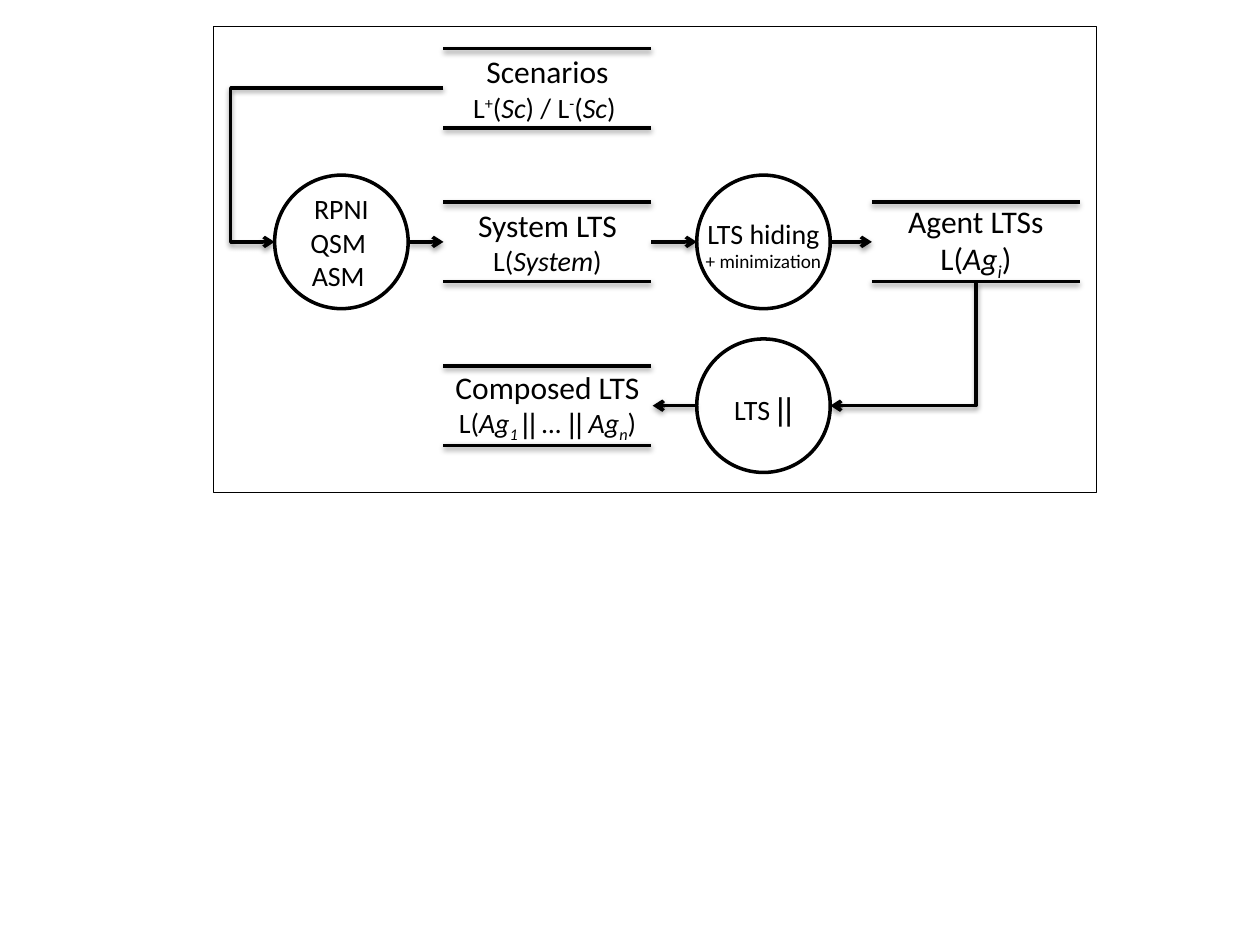
from dataclasses import dataclass

from lxml.etree import SubElement
from pptx import Presentation
from pptx.dml.color import RGBColor
from pptx.enum.shapes import MSO_CONNECTOR, MSO_SHAPE
from pptx.enum.text import MSO_ANCHOR, PP_ALIGN
from pptx.oxml.ns import qn
from pptx.util import Inches, Pt


@dataclass(frozen=True)
class Theme:
    """Colours, fonts, type sizes and line widths."""
    ink: RGBColor = RGBColor(0, 0, 0)
    paper: RGBColor = RGBColor(255, 255, 255)
    font: str = "Calibri"
    symbol_font: str = "Arial"
    heading: int = 18
    body: int = 16
    note: int = 11
    frame_line: float = 0.25
    line: float = 2


THEME = Theme()
ROWS = (0.7, 1.92, 3.22)
STORE_LEFTS = (3.52, 6.92)
STORE_WIDTH, STORE_HEIGHT, TEXT_HEIGHT = 1.65, 0.63, 0.67
CIRCLE_LEFTS = (2.18, 5.53)
DIAMETER = 1.06
ITALIC = {"italic": True}
SUPER = {"baseline": 30}
ITALIC_SUB = {"italic": True, "baseline": -25}
SYMBOL = {"font": THEME.symbol_font}


def add_piece(paragraph, size, text, italic=False, baseline=0, font=THEME.font):
    """Append one formatted run to a paragraph."""
    run = paragraph.add_run()
    run.text = text
    run.font.size = Pt(size)
    run.font.name = font
    run.font.italic = italic
    run.font.color.rgb = THEME.ink
    if baseline:
        run.font._element.set("baseline", str(baseline * 1000))


def write_lines(shape, lines, top_inset=0):
    """Write centred paragraphs given as a size and a list of styled pieces."""
    frame = shape.text_frame
    frame.word_wrap = False
    frame.vertical_anchor = MSO_ANCHOR.MIDDLE
    frame.margin_left = frame.margin_right = frame.margin_bottom = 0
    frame.margin_top = Inches(top_inset)
    for index, (size, pieces) in enumerate(lines):
        paragraph = frame.add_paragraph() if index else frame.paragraphs[0]
        paragraph.alignment = PP_ALIGN.CENTER
        for text, style in pieces:
            for number, part in enumerate(text.split("\n")):
                if number:
                    paragraph.add_line_break()
                add_piece(paragraph, size, part, **style)
        for line_break in paragraph._p.findall(qn("a:br")):
            SubElement(line_break, qn("a:rPr"), sz=str(size * 100))


def add_outlined(shapes, kind, box, width):
    """Add a white preset shape with a black outline."""
    shape = shapes.add_shape(kind, *map(Inches, box))
    shape.shadow.inherit = False
    shape.fill.solid()
    shape.fill.fore_color.rgb = THEME.paper
    shape.line.color.rgb = THEME.ink
    shape.line.width = Pt(width)
    return shape


def add_process(shapes, left, middle, lines, top_inset=0.04):
    """Add a process circle centred on a row."""
    box = (left, middle - DIAMETER / 2, DIAMETER, DIAMETER)
    circle = add_outlined(shapes, MSO_SHAPE.OVAL, box, THEME.line)
    write_lines(circle, lines, top_inset)
    return circle


def add_line(shapes, start, end, arrow=True, kind=MSO_CONNECTOR.STRAIGHT):
    """Add a black connector with a soft shadow below it."""
    line = shapes.add_connector(kind, *map(Inches, (*start, *end)))
    line.line.color.rgb = THEME.ink
    line.line.width = Pt(THEME.line)
    if arrow:
        SubElement(line.line._get_or_add_ln(), qn("a:tailEnd"), type="arrow")
    effects = SubElement(line._element.spPr, qn("a:effectLst"))
    shadow = SubElement(effects, qn("a:outerShdw"), blurRad=str(Pt(3.1)),
                        dist=str(Pt(1.6)), dir="5400000", rotWithShape="0")
    colour = SubElement(shadow, qn("a:srgbClr"), val=str(THEME.ink))
    SubElement(colour, qn("a:alpha"), val="38000")
    return line


def add_side_loop(shapes, start, end, bend):
    """Add a three-part elbow whose bend is a share of its width."""
    line = add_line(shapes, start, end, kind=MSO_CONNECTOR.ELBOW)
    guides = line._element.spPr.prstGeom.get_or_add_avLst()
    SubElement(guides, qn("a:gd"), name="adj1", fmla=f"val {round(bend * 100000)}")


def add_down_left(shapes, start, end):
    """Add an elbow that runs down and then left."""
    centre_x, centre_y = (start[0] + end[0]) / 2, (start[1] + end[1]) / 2
    half_width, half_height = (end[1] - start[1]) / 2, (start[0] - end[0]) / 2
    line = add_line(shapes, (centre_x - half_width, centre_y - half_height),
                    (centre_x + half_width, centre_y + half_height),
                    kind=MSO_CONNECTOR.ELBOW)
    line._element.spPr.prstGeom.set("prst", "bentConnector2")
    line._element.spPr.xfrm.set("rot", "5400000")


def add_store(shapes, left, middle, title, pieces, size=THEME.body):
    """Add a data store: two lines of text between two bars."""
    box = (left, middle - TEXT_HEIGHT / 2, STORE_WIDTH, TEXT_HEIGHT)
    text_box = shapes.add_textbox(*map(Inches, box))
    write_lines(text_box, [(THEME.heading, [(title, {})]), (size, pieces)])
    for y in (middle - STORE_HEIGHT / 2, middle + STORE_HEIGHT / 2):
        add_line(shapes, (left, y), (left + STORE_WIDTH, y), arrow=False)


def main():
    """Build the slide and save it."""
    presentation = Presentation()
    presentation.slide_width, presentation.slide_height = Inches(10), Inches(7.5)
    slide = presentation.slides.add_slide(presentation.slide_layouts[6])
    shapes = slide.shapes.add_group_shape().shapes
    top, middle, bottom = ROWS
    store, agent = STORE_LEFTS
    learner, operator = CIRCLE_LEFTS
    store_right = store + STORE_WIDTH
    operator_right = operator + DIAMETER

    add_outlined(shapes, MSO_SHAPE.RECTANGLE, (1.69, 0.21, 7.01, 3.7), THEME.frame_line)
    add_store(shapes, store, top, "Scenarios", [
        ("L", {}), ("+", SUPER), ("(", {}), ("Sc", ITALIC), (") / L", {}),
        ("-", SUPER), ("(", {}), ("Sc", ITALIC), (") ", {})])
    add_store(shapes, store, middle, "System LTS",
              [("L(", {}), ("System", ITALIC), (")", {})])
    add_store(shapes, agent, middle, "Agent LTSs",
              [("L(", {}), ("Ag", ITALIC), ("i", ITALIC_SUB), (")", {})], THEME.heading)
    add_store(shapes, store, bottom, "Composed LTS", [
        ("L(", {}), ("Ag", ITALIC), ("1 ", ITALIC_SUB), ("||", ITALIC | SYMBOL),
        (" … ", ITALIC), ("||", ITALIC | SYMBOL), (" Ag", ITALIC),
        ("n", ITALIC_SUB), (")", {})])

    add_process(shapes, learner, middle, [(THEME.body, [("RPNI\nQSM \nASM ", {})])], 0)
    add_process(shapes, operator, middle, [
        (THEME.body, [("LTS hiding", {})]), (THEME.note, [("+ minimization", {})])])
    composer = add_process(shapes, operator, bottom,
                           [(THEME.body, [("LTS ", {}), ("||", SYMBOL)])])
    composer.text_frame.paragraphs[0].runs[-1].font.size = Pt(THEME.heading)

    for start, end in ((learner + DIAMETER, store), (store_right, operator),
                       (operator_right, agent)):
        add_line(shapes, (start, middle), (end, middle))
    add_line(shapes, (operator, bottom), (store_right + 0.01, bottom))
    add_down_left(shapes, (agent + STORE_WIDTH / 2, 2.25), (operator_right, bottom))
    add_side_loop(shapes, (store, top), (learner, middle), 1.26)
    presentation.save("out.pptx")


if __name__ == "__main__":
    main()
